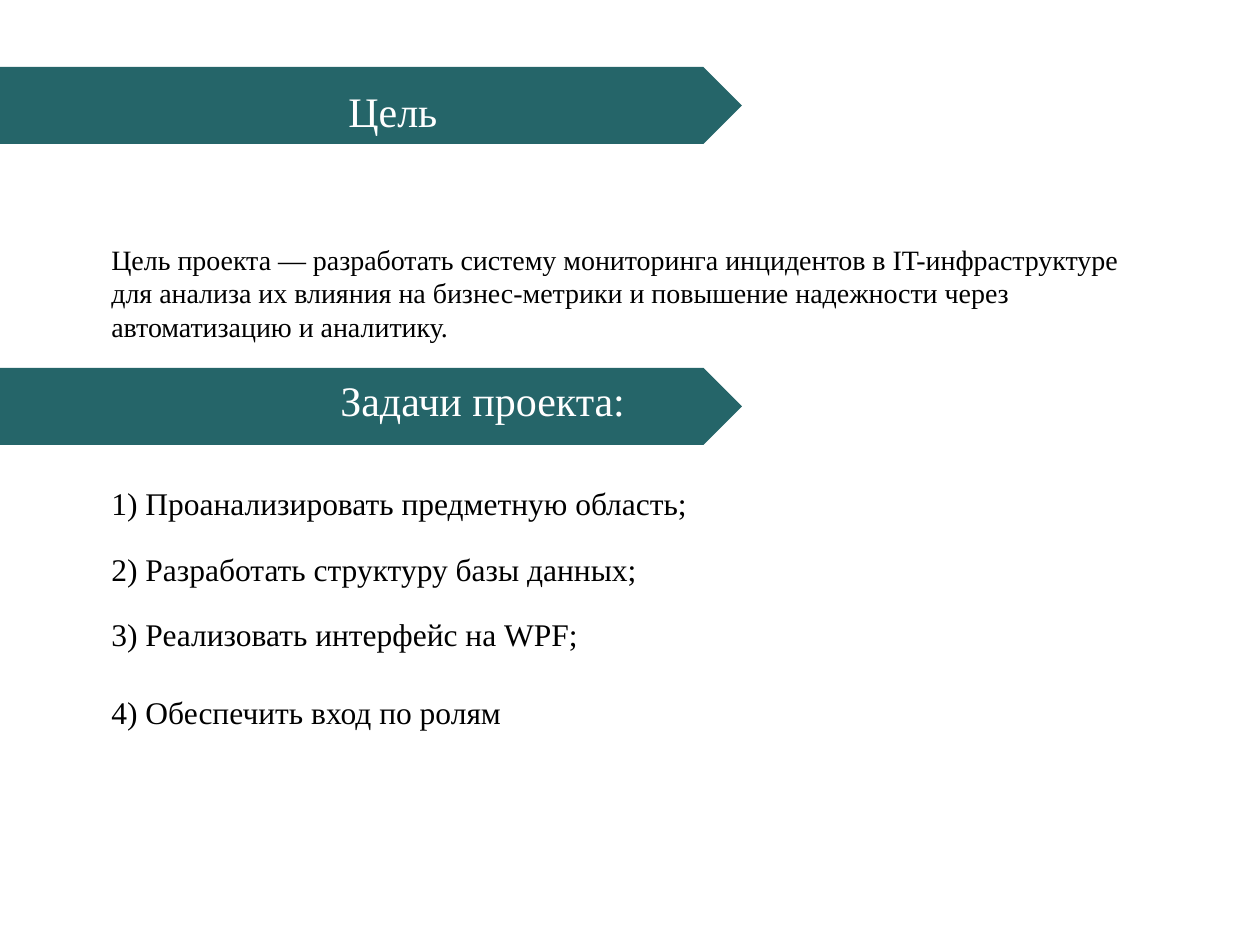
from pptx import Presentation
from pptx.dml.color import RGBColor
from pptx.enum.shapes import MSO_SHAPE
from pptx.util import Pt

PENTAGON = MSO_SHAPE.PENTAGON
PX = 914400 / 126
FONT = "Times New Roman"
TEAL, WHITE, BLACK = "256569", "FFFFFF", "000000"


def add_banner(top):
    banner = slide.shapes.add_shape(PENTAGON, 0, round(top * PX), round(742 * PX), round(77 * PX))
    banner.shadow.inherit = False
    banner.fill.solid()
    banner.fill.fore_color.rgb = RGBColor.from_string(TEAL)
    banner.line.fill.background()


def add_text(text, left, top, width, height, size, color, wrap=True):
    box = slide.shapes.add_textbox(*(round(length * PX) for length in (left, top, width, height)))
    box.text_frame.word_wrap = wrap
    paragraph = box.text_frame.paragraphs[0]
    paragraph.text = text
    paragraph.font.name = FONT
    paragraph.font.size = Pt(size)
    paragraph.font.color.rgb = RGBColor.from_string(color)


presentation = Presentation()
presentation.slide_width = round(1260 * PX)
presentation.slide_height = round(945 * PX)
slide = presentation.slides.add_slide(presentation.slide_layouts[6])

add_banner(67)
add_text("Цель проекта", 336, 79, 263, 63, 24, WHITE, wrap=False)
add_text(
    "Цель проекта — разработать систему мониторинга инцидентов в IT-инфраструктуре "
    "для анализа их влияния на бизнес-метрики и повышение надежности через "
    "автоматизацию и аналитику.",
    99, 236, 1071, 115, 16, BLACK,
)

add_banner(368)
add_text("Задачи проекта:", 328, 368, 330, 63, 24, WHITE)

tasks = [
    ("Проанализировать предметную область;", 478, 615),
    ("Разработать структуру базы данных;", 544, 559),
    ("Реализовать интерфейс на WPF;", 609, 559),
    ("Обеспечить вход по ролям", 687, 624),
]
for number, (task, top, width) in enumerate(tasks, start=1):
    add_text(f"{number}) {task}", 99, top, width, 50, 18, BLACK)

presentation.save("out.pptx")
